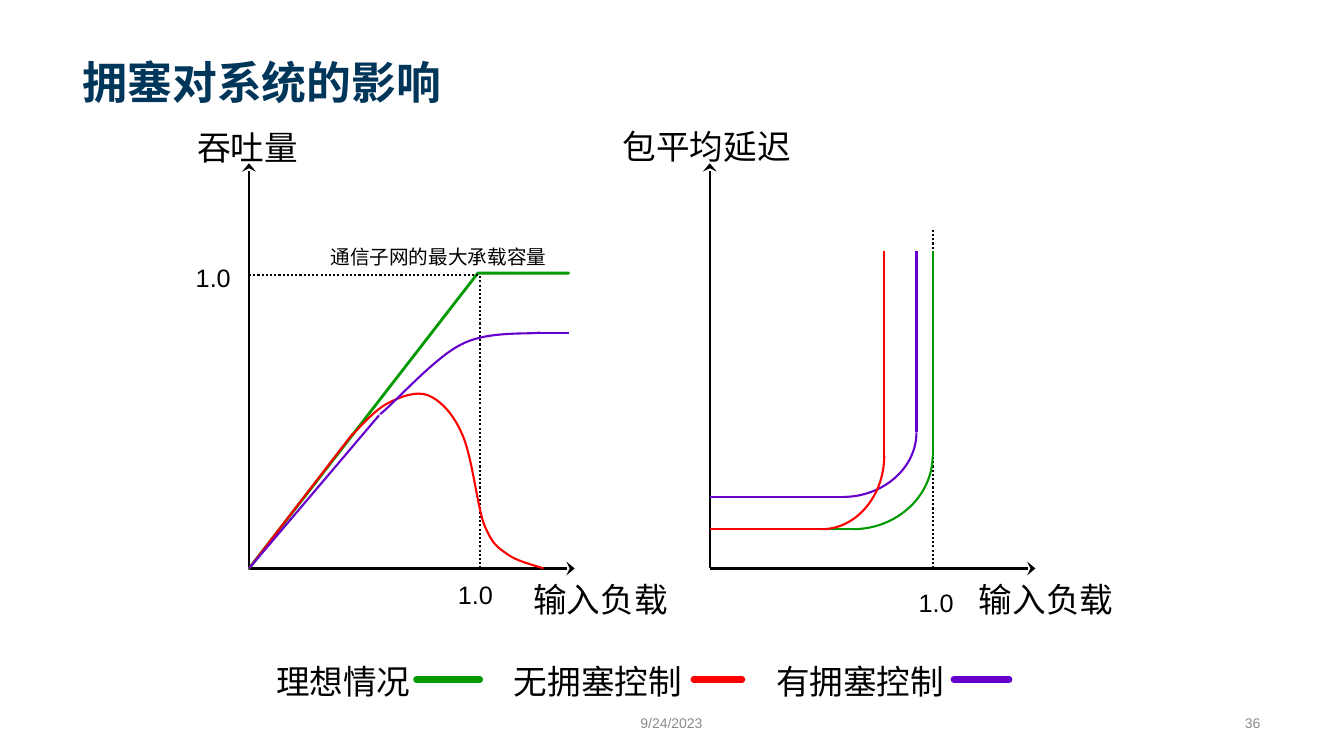
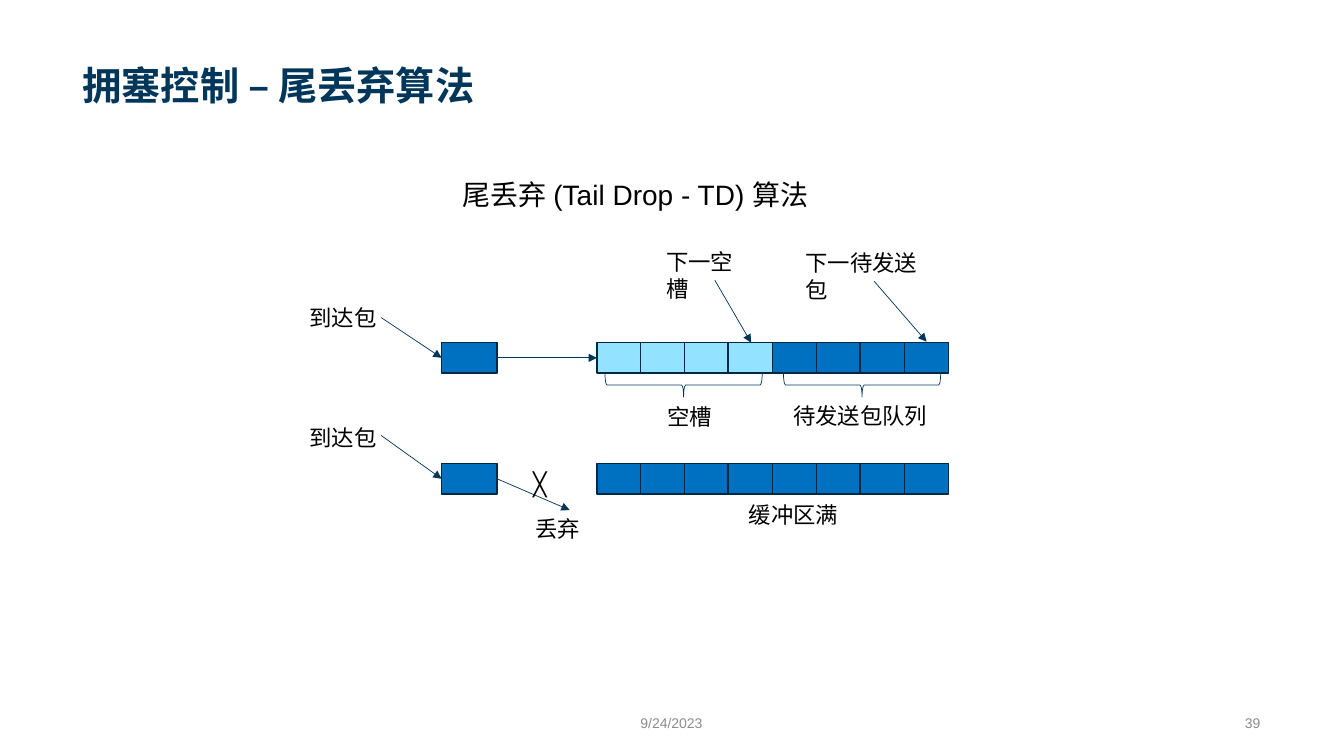
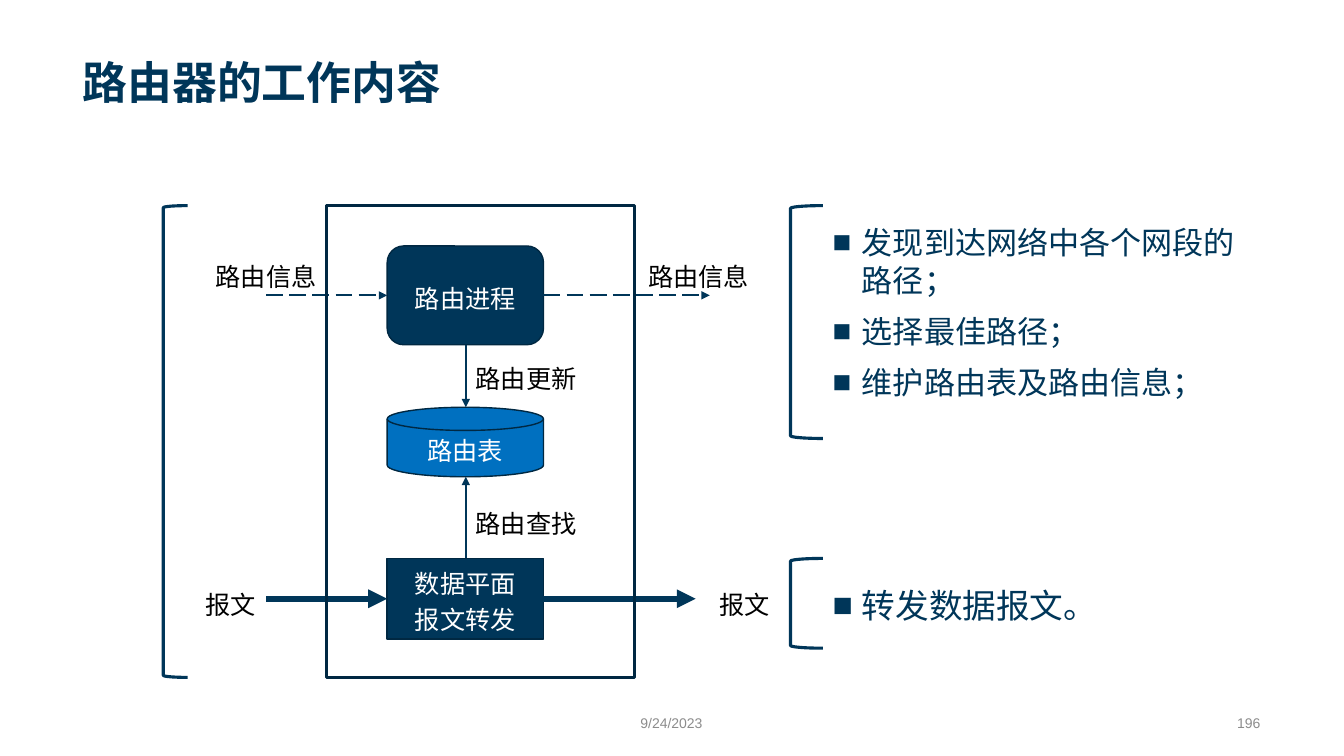
from lxml import etree
from pptx import Presentation
from pptx.dml.color import RGBColor
from pptx.enum.dml import MSO_LINE
from pptx.enum.shapes import MSO_CONNECTOR, MSO_SHAPE
from pptx.enum.text import MSO_ANCHOR, MSO_AUTO_SIZE, PP_ALIGN
from pptx.oxml.ns import qn
from pptx.util import Pt

PX = 9144  # EMU; 100 px to the inch
FONT = "Arial"
DATE = "9/24/2023"

NAVY = RGBColor(0x00, 0x36, 0x59)
EDGE = RGBColor(0x00, 0x28, 0x42)
BLUE = RGBColor(0x00, 0x70, 0xC0)
SKY = RGBColor(0x93, 0xE2, 0xFF)
GREEN = RGBColor(0x00, 0x99, 0x00)
RED = RGBColor(0xFF, 0x00, 0x00)
PURPLE = RGBColor(0x66, 0x00, 0xCC)
GREY = RGBColor(0x8C, 0x8C, 0x8C)
BLACK = RGBColor(0, 0, 0)
WHITE = RGBColor(0xFF, 0xFF, 0xFF)

LEFT, CENTER, RIGHT = PP_ALIGN.LEFT, PP_ALIGN.CENTER, PP_ALIGN.RIGHT
MIDDLE, BOTTOM = MSO_ANCHOR.MIDDLE, MSO_ANCHOR.BOTTOM
FIXED = MSO_AUTO_SIZE.NONE
STRAIGHT = MSO_CONNECTOR.STRAIGHT
DOTS, DASHES = MSO_LINE.ROUND_DOT, MSO_LINE.LONG_DASH
RECT, ROUNDED = MSO_SHAPE.RECTANGLE, MSO_SHAPE.ROUNDED_RECTANGLE
DISK = MSO_SHAPE.FLOWCHART_MAGNETIC_DISK
BRACE, BRACKET = MSO_SHAPE.RIGHT_BRACE, MSO_SHAPE.LEFT_BRACKET


def emu(*lengths):
    return [round(length * PX) for length in lengths]


def style(para, size, color, align=LEFT, space=1.2, bold=False):
    para.alignment = align
    para.line_spacing = space
    font = para.font
    font.name, font.size, font.bold = FONT, Pt(size), bold
    font.color.rgb = color


def stroke(shape, color, width, dash=None, tip=None, cap=None):
    shape.line.color.rgb = color
    shape.line.width = Pt(width)
    if dash:
        shape.line.dash_style = dash
    ln = shape.element.spPr.find(qn("a:ln"))
    if tip:
        span = "lg" if tip == "stealth" else "med"
        etree.SubElement(ln, qn("a:tailEnd"), type=tip, w=span)
    if cap:
        ln.set("cap", cap)


def line(slide, x1, y1, x2, y2, color=NAVY, width=1.5, **look):
    link = slide.shapes.add_connector(STRAIGHT, *emu(x1, y1, x2, y2))
    stroke(link, color, width, **look)
    etree.SubElement(link.element.spPr, qn("a:effectLst"))


def trace(slide, points, color, width=1.5, cap=None):
    form = slide.shapes.build_freeform(*emu(*points[0]))
    form.add_line_segments([emu(*point) for point in points[1:]], close=False)
    shape = form.convert_to_shape()
    shape.shadow.inherit = False
    shape.fill.background()
    stroke(shape, color, width, cap=cap)
    return shape


def curve(slide, points, color):
    """Draw cubic Béziers: a start, then three points for each."""
    shape = trace(slide, points, color)
    legs = list(shape.element.iter(qn("a:lnTo")))
    for i in range(0, len(legs), 3):
        bend = etree.Element(qn("a:cubicBezTo"))
        legs[i].addprevious(bend)
        for leg in legs[i:i + 3]:
            bend.append(leg[0])
            leg.getparent().remove(leg)


def box(slide, kind, x, y, w, h, fill=None, edge=EDGE, width=1, text=()):
    shape = slide.shapes.add_shape(kind, *emu(x, y, w, h))
    shape.shadow.inherit = False
    if fill is None:
        shape.fill.background()
    else:
        shape.fill.solid()
        shape.fill.fore_color.rgb = fill
    stroke(shape, edge, width)
    if text:
        frame = shape.text_frame
        frame.vertical_anchor = MIDDLE
        frame.text = "\n".join(text)
        for para in frame.paragraphs:
            style(para, 18, WHITE, CENTER)
    return shape


def label(slide, text, x, y, w, size, align=LEFT, space=1.2):
    area = slide.shapes.add_textbox(*emu(x, y, w, 2 * size + 6))
    frame = area.text_frame
    frame.word_wrap = False
    frame.text = text
    style(frame.paragraphs[0], size, BLACK, align, space)


def bullets(slide, items, x, y, w, h, size, space):
    frame = slide.shapes.add_textbox(*emu(x, y, w, h)).text_frame
    frame.word_wrap = True
    frame.text = "\n".join(items)
    for i, para in enumerate(frame.paragraphs):
        if i:
            para.space_before = Pt(10)
        props = para._p.get_or_add_pPr()
        props.set("marL", str(29 * PX))
        props.set("indent", str(-29 * PX))
        etree.SubElement(props, qn("a:buFont"), typeface=FONT)
        etree.SubElement(props, qn("a:buChar"), char="■")
        style(para, size, NAVY, space=space)


def footer(slide, text, x, w, align):
    frame = slide.shapes.add_textbox(*emu(x, 701, w, 30)).text_frame
    frame.word_wrap = True
    frame.vertical_anchor = MIDDLE
    frame.text = text
    style(frame.paragraphs[0], 10, GREY, align)


def start(deck, text, number, size=32):
    """Add a slide with its title, date and number."""
    slide = deck.slides.add_slide(deck.slide_layouts[5])
    title = slide.shapes.title
    title.left, title.top, title.width, title.height = emu(72, 15, 1188, 98)
    frame = title.text_frame
    frame.auto_size = FIXED
    frame.vertical_anchor = BOTTOM
    frame.text = text
    style(frame.paragraphs[0], size, NAVY, bold=True)
    footer(slide, DATE, 516, 300, CENTER)
    footer(slide, str(number), 850, 410, RIGHT)
    return slide


def impact(deck):
    slide = start(deck, "拥塞对系统的影响", 36)
    base = 564
    for x in (247, 704):
        line(slide, x, base, x + 323, base, BLACK, tip="stealth")
        line(slide, x, base, x, 162, BLACK, tip="stealth")

    trace(slide, [(247, base), (474, 271), (564, 271)], GREEN, 2, "rnd")
    for ends in ((247, 273, 476, 273), (476, base, 476, 273), (925, base, 925, 226)):
        line(slide, *ends, BLACK, dash=DOTS)

    for bend, flat, wall, rise, color in (
        (846, 525, 925, 452, GREEN),
        (836, 493, 909, 429, PURPLE),
        (815, 525, 877, 452, RED),
    ):
        pull = 0.55
        curve(slide, [(bend, flat), (bend + pull * (wall - bend), flat),
                      (wall, rise + pull * (flat - rise)), (wall, rise)], color)
        line(slide, wall, rise, wall, 249, color)
        line(slide, bend, flat, 704, flat, color)

    curve(slide, [
        (348, 433),
        (354, 427), (372, 406), (385, 400),
        (398, 393), (413, 388), (424, 392),
        (435, 396), (449, 409), (458, 430),
        (468, 451), (473, 500), (480, 520),
        (488, 539), (492, 542), (502, 549),
        (512, 557), (531, 561), (539, base),
    ], RED)
    line(slide, 350, 430, 247, base, RED)
    curve(slide, [
        (377, 411),
        (391, 400), (431, 355), (457, 342),
        (483, 328), (523, 332), (536, 330),
    ], PURPLE)
    line(slide, 247, base, 376, 412, PURPLE)
    line(slide, 532, 330, 564, 330, PURPLE)

    for text, x, y, w, size in (
        ("吞吐量", 185, 113, 121, 24),
        ("包平均延迟", 607, 112, 188, 24),
        ("输入负载", 518, 561, 155, 24),
        ("输入负载", 960, 561, 155, 24),
        ("1.0", 444, 564, 55, 18),
        ("1.0", 184, 249, 55, 18),
        ("1.0", 901, 572, 55, 18),
        ("通信子网的最大承载容量", 317, 233, 236, 14),
    ):
        label(slide, text, x, y, w, size, CENTER)

    for text, x, w, x1, x2, color in (
        ("理想情况", 263, 155, 413, 476, GREEN),
        ("无拥塞控制", 499, 188, 688, 736, RED),
        ("有拥塞控制", 759, 188, 946, 1001, PURPLE),
    ):
        label(slide, text, x, 643, w, 24, CENTER)
        line(slide, x1, 674, x2, 674, color, 4.5, cap="rnd")


def drop(deck):
    slide = start(deck, "拥塞控制 – 尾丢弃算法", 39, 28)
    label(slide, "尾丢弃 (Tail Drop - TD) 算法", 423, 165, 415, 20, CENTER)

    for y, free in ((340, 4), (460, 0)):
        box(slide, RECT, 438, y, 55, 30, BLUE)
        for i in range(8):
            box(slide, RECT, 592 + i * 349 // 8, y, 44, 30, SKY if i < free else BLUE)
    for x in (666, 843):
        box(slide, BRACE, x, 304, 24, 156, edge=NAVY, width=0.5).rotation = 90

    for ends in (
        (867, 279, 919, 339),
        (709, 278, 745, 340),
        (493, 355, 592, 355),
        (378, 315, 438, 355),
        (378, 432, 438, 475),
        (493, 475, 565, 506),
    ):
        line(slide, *ends, width=0.5, tip="triangle")

    for text, x, y, w in (
        ("到达包", 297, 297, 88),
        ("到达包", 297, 416, 88),
        ("缓冲区满", 733, 492, 109),
        ("丢弃", 521, 506, 64),
        ("空槽", 652, 395, 64),
        ("下一空槽", 651, 241, 108),
        ("下一待发送包", 789, 242, 152),
        ("待发送包队列", 777, 394, 153),
        ("╳", 519, 461, 31),
    ):
        label(slide, text, x, y, w, 16, space=1)


def router(deck):
    slide = start(deck, "路由器的工作内容", 196)
    for kind, y, h, fill, text in (
        (ROUNDED, 244, 98, NAVY, ["路由进程"]),
        (DISK, 404, 69, BLUE, ["路由表"]),
        (RECT, 554, 80, NAVY, ["数据平面", "报文转发"]),
    ):
        box(slide, kind, 384, y, 155, h, fill, text=text)

    for y, far, width, dash in ((594, 690, 4.5, None), (293, 704, 1.5, DASHES)):
        line(slide, 264, y, 384, y, width=width, dash=dash, tip="triangle")
        line(slide, 539, y, far, y, width=width, dash=dash, tip="triangle")
    for y1, y2 in ((342, 404), (554, 473)):
        line(slide, 462, y1, 462, y2, tip="triangle")

    box(slide, RECT, 324, 204, 305, 468, width=2.25)
    for x, y, w, h in ((162, 204, 24, 468), (784, 204, 32, 231), (784, 554, 32, 89)):
        box(slide, BRACKET, x, y, w, h, edge=NAVY, width=2.25)

    for text, x, y, w in (
        ("报文", 704, 574, 71),
        ("报文", 194, 574, 71),
        ("路由更新", 462, 350, 121),
        ("路由查找", 462, 493, 121),
        ("路由信息", 204, 248, 121),
        ("路由信息", 633, 248, 121),
    ):
        label(slide, text, x, y, w, 18)

    tasks = ["发现到达网络中各个网段的路径；", "选择最佳路径；", "维护路由表及路由信息；"]
    bullets(slide, tasks, 816, 217, 444, 187, 22.2, 1.0)
    bullets(slide, ["转发数据报文。"], 816, 567, 390, 63, 24, 1.2)


def main():
    deck = Presentation()
    deck.slide_width, deck.slide_height = emu(1333, 750)
    impact(deck)
    drop(deck)
    router(deck)
    deck.save("out.pptx")


if __name__ == "__main__":
    main()
